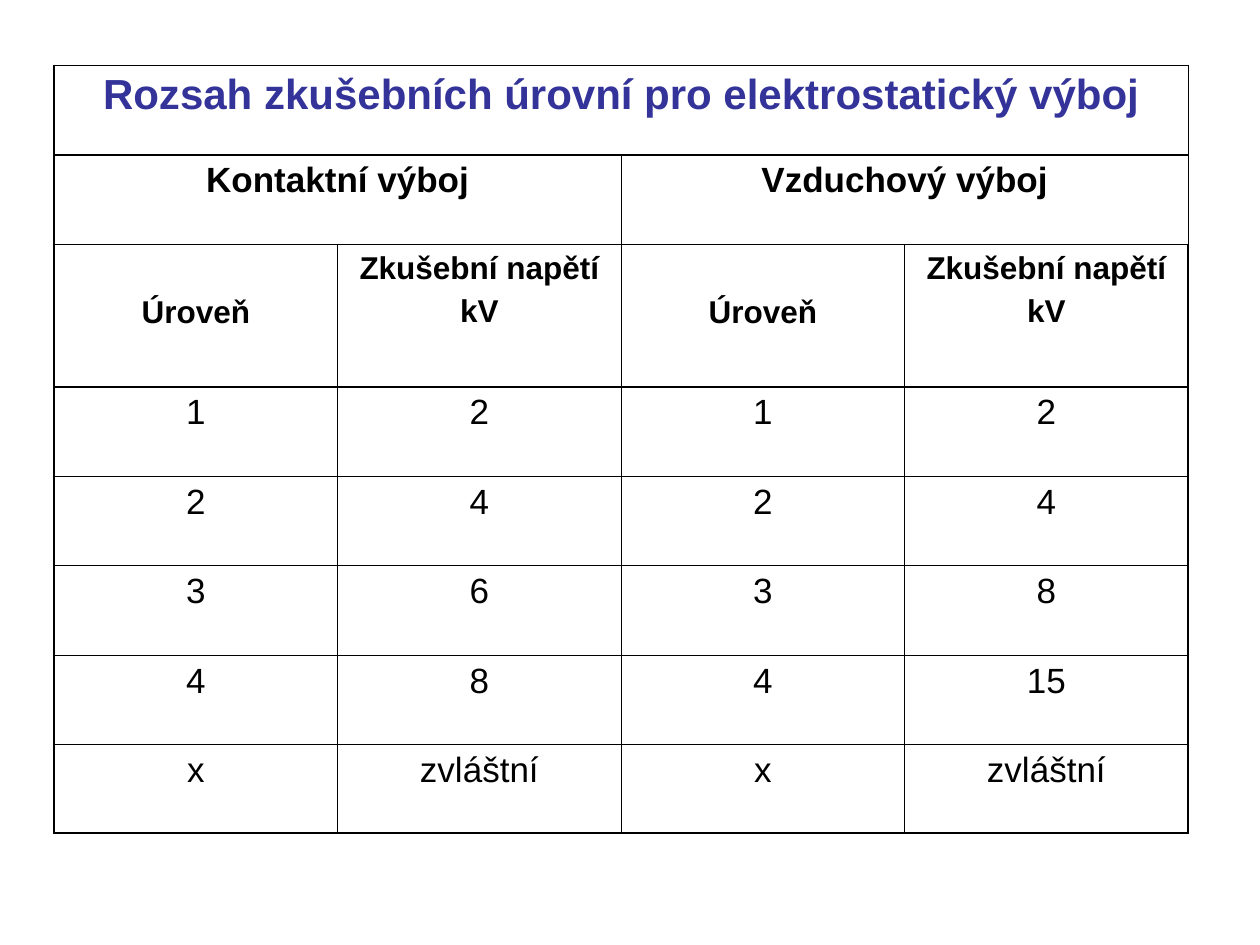
from dataclasses import dataclass

from lxml import etree
from pptx import Presentation
from pptx import util as u
from pptx.dml.color import RGBColor
from pptx.enum import text
from pptx.oxml import ns

BLACK = RGBColor(0x00, 0x00, 0x00)
NAVY = RGBColor(0x33, 0x33, 0x99)
FONT = "Arial"
THIN, THICK = 0.45, 1.08
COLS = 4
HEAVY = (0, 1, 3, 8)  # row edges drawn thick


@dataclass
class Row:
    cells: list[str]
    size: float = 20
    bold: bool = False
    color: RGBColor = BLACK
    high: float = 0.71
    gap: float = 5


LEVEL, VOLT = "Úroveň", "Zkušební napětí\nkV"
ROWS = [
    Row(["Rozsah zkušebních úrovní pro elektrostatický výboj"], 24, True, NAVY),
    Row(["Kontaktní výboj", "Vzduchový výboj"], bold=True),
    Row([LEVEL, VOLT] * 2, 18, True, high=1.13, gap=4.5),
    Row(["1", "2", "1", "2"]),
    Row(["2", "4", "2", "4"]),
    Row(["3", "6", "3", "8"]),
    Row(["4", "8", "4", "15"]),
    Row(["x", "zvláštní"] * 2, high=0.7),
]


def edge(cell, side: str, width: float) -> None:
    """Draw one border of a cell."""
    props = cell._tc.get_or_add_tcPr()
    line = etree.SubElement(props, ns.qn(f"a:ln{side}"), w=str(u.Pt(width)))
    fill = etree.SubElement(line, ns.qn("a:solidFill"))
    etree.SubElement(fill, ns.qn("a:srgbClr"), val=str(BLACK))


def frame(cell, row: int, col: int) -> None:
    """Draw all borders of a cell, thick at the rim and the header rules."""
    heavy = {"L": col == 0, "R": col == COLS - 1,
             "T": row in HEAVY, "B": row + 1 in HEAVY}
    for side, thick in heavy.items():
        edge(cell, side, THICK if thick else THIN)
    cell.fill.background()


def write(cell, words: str, style: Row) -> None:
    """Fill a cell, one paragraph for each line."""
    for n, line in enumerate(words.split("\n")):
        body = cell.text_frame
        para = body.add_paragraph() if n else body.paragraphs[0]
        para.alignment = text.PP_ALIGN.CENTER
        if n:
            para.space_before = u.Pt(style.gap)
        run = para.add_run()
        run.text = line
        font = run.font
        font.name, font.size, font.bold = FONT, u.Pt(style.size), style.bold
        font.color.rgb = style.color
    # A level heading sits beside the second line of its neighbour
    cell.margin_top = u.Inches(0.4 if words == LEVEL else 0.05)


def main() -> None:
    deck = Presentation()
    deck.slide_width, deck.slide_height = u.Inches(10), u.Inches(7.5)
    slide = deck.slides.add_slide(deck.slide_layouts[6])

    # Table of test levels
    high = sum(row.high for row in ROWS)
    grid = slide.shapes.add_table(
        len(ROWS), COLS, u.Inches(0.43), u.Inches(0.52),
        u.Inches(9), u.Inches(high)).table
    grid.first_row = grid.horz_banding = False

    for r, row in enumerate(ROWS):
        grid.rows[r].height = u.Inches(row.high)
        for c in range(COLS):
            frame(grid.cell(r, c), r, c)
        # Short rows spread their cells over equal spans
        span = COLS // len(row.cells)
        for n, words in enumerate(row.cells):
            cell = grid.cell(r, n * span)
            if span > 1:
                cell.merge(grid.cell(r, (n + 1) * span - 1))
            write(cell, words, row)

    deck.save("out.pptx")


if __name__ == "__main__":
    main()
